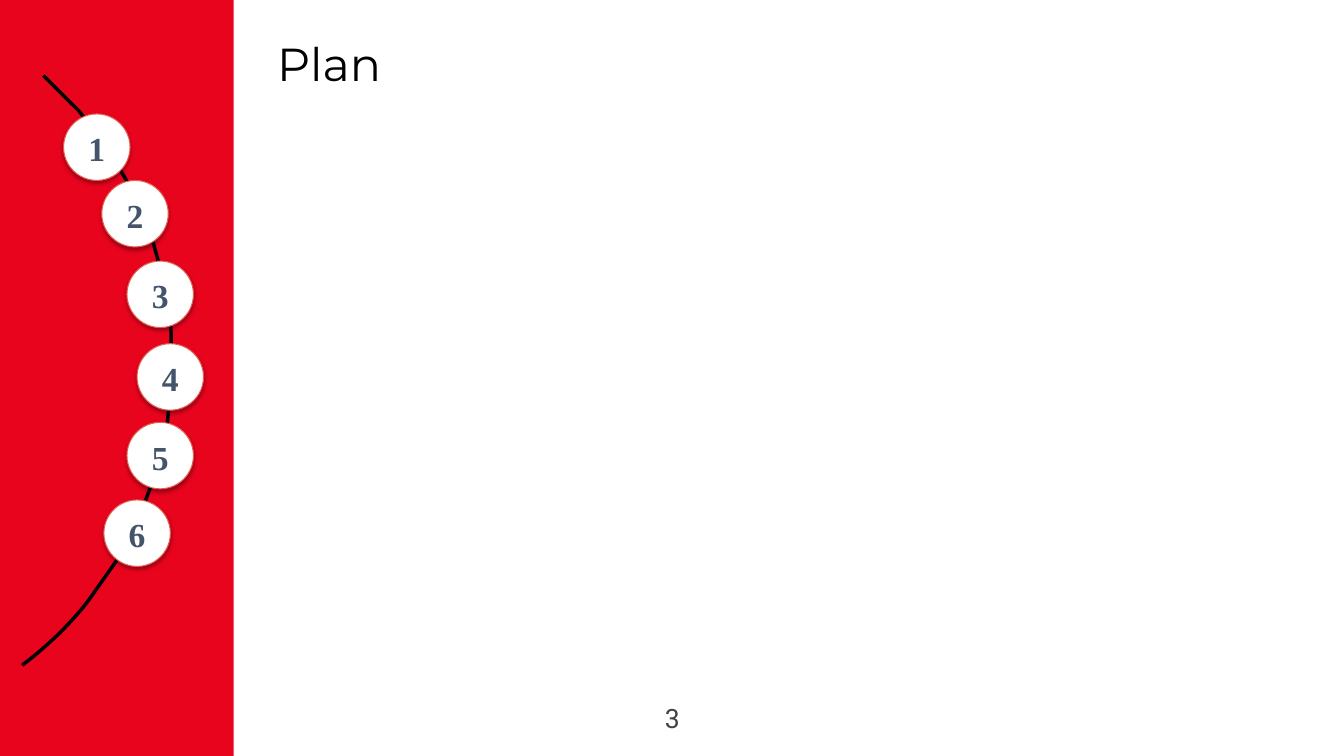
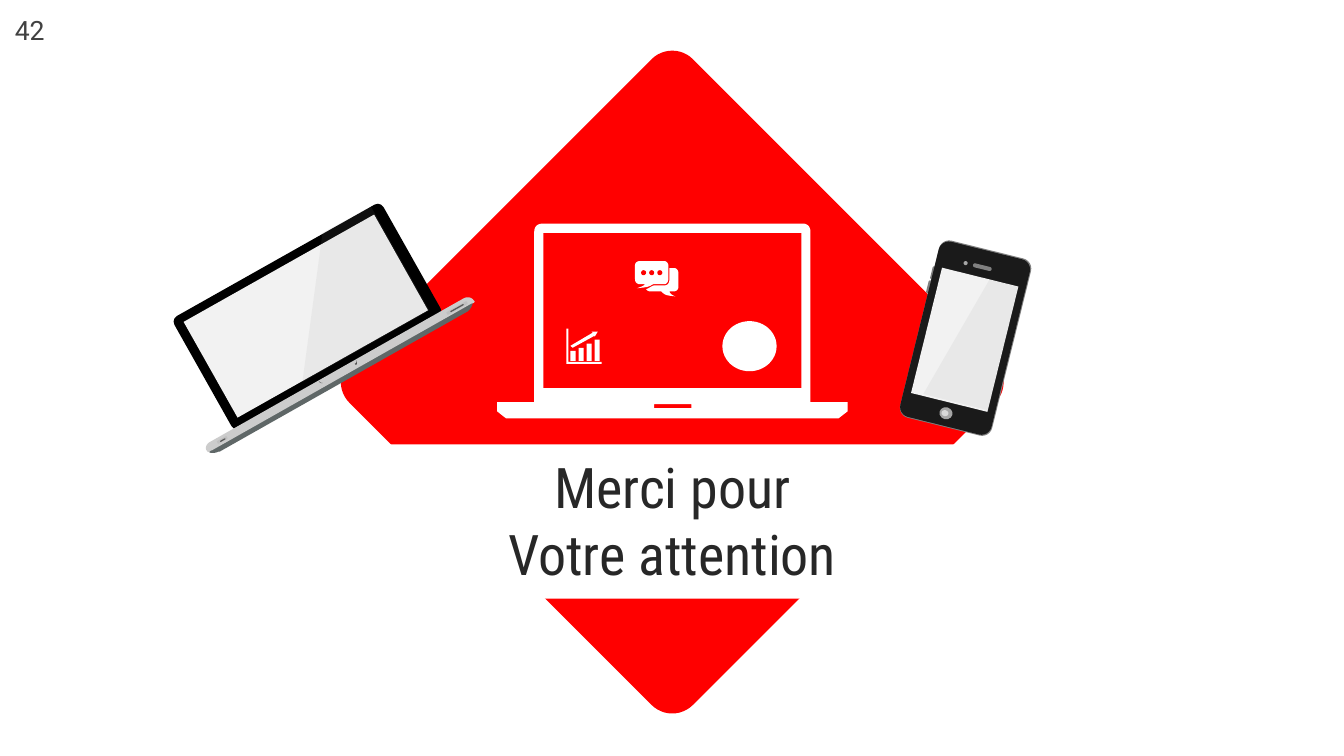
import dataclasses
import typing

import lxml.etree
import pptx
import pptx.dml.color
import pptx.enum.shapes
import pptx.enum.text
import pptx.oxml.ns
import pptx.util

Pt = pptx.util.Pt
RGB = pptx.dml.color.RGBColor
MSO = pptx.enum.shapes.MSO_SHAPE
ALIGN = pptx.enum.text.PP_ALIGN
ANCHOR = pptx.enum.text.MSO_ANCHOR
qn = pptx.oxml.ns.qn

CRIMSON = RGB(0xE9, 0x04, 0x1E)
RED = RGB(0xFF, 0x00, 0x00)
CORAL = RGB(0xE5, 0x5F, 0x50)
WHITE = RGB(0xFF, 0xFF, 0xFF)
BLACK = RGB(0x00, 0x00, 0x00)
INK = RGB(0x01, 0x01, 0x01)
SLATE = RGB(0x44, 0x54, 0x6A)
TEXT_GRAY = RGB(0x41, 0x41, 0x41)
THANKS_GRAY = RGB(0x27, 0x27, 0x27)
PHONE_BLACK = RGB(0x1A, 0x1A, 0x1A)
SCREEN = RGB(0xF2, 0xF2, 0xF2)
GLARE = RGB(0x99, 0x99, 0x99)
GRAY = RGB(0x80, 0x80, 0x80)
HOME_RING = RGB(0xA6, 0xA6, 0xA6)
HOME_CENTRE = RGB(0xD9, 0xD9, 0xD9)
BASE = RGB(0xCC, 0xCC, 0xCC)
BASE_EDGE = RGB(0x5F, 0x67, 0x67)
NOTCH = RGB(0x4D, 0x4D, 0x4D)
SLOT = RGB(0xBF, 0xBF, 0xBF)
SLOT_CORE = RGB(0x59, 0x59, 0x59)

NUMBER_FONT = {"name": "Times New Roman", "size": Pt(24), "bold": True}
PAGE_FONT = {"name": "Roboto", "size": Pt(19)}
TITLE_FONT = {"name": "Montserrat", "size": Pt(33)}
THANKS_FONT = {"name": "Roboto Condensed", "size": Pt(40)}

LAPTOP_TILT = 330.6
PHONE_TILT = 13.9
CURVE_STEPS = 12
CIRCLE_SIZE = 47.5
CIRCLES = [(45.4, 81.4), (72.7, 128.9), (90.7, 186.5),
           (97.9, 245.5), (90.7, 301.7), (74.2, 357.1)]

Box = tuple[float, float, float, float]
Point = tuple[float, float]


@dataclasses.dataclass
class Preset:
    kind: int
    box: Box
    fill: RGB
    rotation: float = 0
    corner: typing.Optional[float] = None
    line: typing.Optional[RGB] = None
    line_width: float = 0


@dataclasses.dataclass
class Outline:
    d: str
    fill: typing.Optional[RGB] = None
    alpha: int = 100
    line: typing.Optional[RGB] = None
    line_width: float = 0


RAIL = Outline("M 31 54 C 140.4 149 154.1 316.8 62.6 429.8 C 49 447.1 33.1 462.2 15.8 475.2",
               line=INK, line_width=2.5)

LAPTOP = [
    Outline("M 334.1 222.5 C 334.1 222.5 337.7 219.6 337.7 216 C 337.7 215.3 336.2 215.3 335.5 216 "
            "L 153.4 319 L 150.5 320.4 C 149.8 321.1 149 322.6 149.8 323.3 "
            "C 151.9 324 154.8 323.3 156.2 322.6 L 157 322.6 Z", BASE_EDGE),
    Preset(MSO.ROUNDED_RECTANGLE, (133.9, 180, 171.4, 92.2), BLACK, LAPTOP_TILT, 0.05),
    Preset(MSO.RECTANGLE, (140.4, 186.5, 156.2, 78.5), SCREEN, LAPTOP_TILT),
    Outline("M 150.5 315.4 L 331.2 213.1 C 334.1 211.7 337 212.4 338.4 214.6 L 339.1 215.3 "
            "C 339.1 215.3 339.1 216 337.7 216.7 L 337 216.7 L 151.2 321.8 "
            "C 150.5 321.8 150.5 321.8 149.8 322.6 C 149.8 322.6 148.3 323.3 148.3 322.6 "
            "L 147.6 321.8 C 146.2 319.7 147.6 316.8 150.5 315.4 Z", BASE),
    Outline("M 254.2 257 C 255.6 259.2 254.9 260.6 254.2 260.6 L 253.4 259.9 "
            "C 254.9 259.2 254.9 258.5 254.2 257 Z M 227.5 271.4 C 227.5 271.4 228.2 273.6 230.4 273.6 "
            "C 228.2 274.3 227.5 271.4 227.5 271.4 Z", NOTCH),
    Preset(MSO.ROUNDED_RECTANGLE, (154.8, 313.2, 7.9, 2.2), SLOT, LAPTOP_TILT, 0.28),
    Preset(MSO.ROUNDED_RECTANGLE, (157, 313.9, 4.3, 0.9), SLOT_CORE, LAPTOP_TILT, 0.5),
    Preset(MSO.ROUNDED_RECTANGLE, (318.2, 218.9, 16.6, 2.2), SLOT, LAPTOP_TILT, 0.28),
    Preset(MSO.ROUNDED_RECTANGLE, (321.1, 219.6, 10.8, 0.9), SLOT_CORE, LAPTOP_TILT, 0.5),
    Outline("M 230.4 166.3 L 265 147.6 L 306.7 221.8 L 216 272.9 Z", GLARE, 10),
]

PHONE_KEYS = [Preset(MSO.ROUNDED_RECTANGLE, (x, y, 2.2, 9.4), GRAY, PHONE_TILT, 0.5)
              for x, y in [(665.3, 190.1), (662.4, 200.2), (727.2, 216)]]
PHONE = PHONE_KEYS + [
    Preset(MSO.ROUNDED_RECTANGLE, (655.9, 176.4, 67.7, 130.3), GRAY, PHONE_TILT, 0.11),
    Preset(MSO.ROUNDED_RECTANGLE, (655.9, 177.1, 67, 128.9), PHONE_BLACK, PHONE_TILT, 0.11),
    Preset(MSO.RECTANGLE, (661, 196.6, 56.2, 92.2), SCREEN, PHONE_TILT),
    Preset(MSO.OVAL, (671, 290.9, 9.4, 8.6), HOME_RING, PHONE_TILT),
    Preset(MSO.OVAL, (672.5, 293, 5, 4.3), HOME_CENTRE, PHONE_TILT),
    Outline("M 707 199.4 L 727.2 205.2 L 705.6 293 L 659.5 281.5 Z", GLARE, 10),
    Preset(MSO.ROUNDED_RECTANGLE, (694.8, 189.4, 13.7, 2.9), GRAY, PHONE_TILT, 0.5),
    Preset(MSO.OVAL, (688.3, 186.5, 2.9, 2.9), HOME_RING, PHONE_TILT),
]

BACKDROP = [
    Preset(MSO.ROUNDED_RECTANGLE, (306.7, 99.4, 347, 347), RED, 315, 0.06),
    Preset(MSO.RECTANGLE, (124.6, 317.5, 710.6, 110.2), WHITE),
]

BARS = " ".join(f"M {x} {top} L {x + 3.6} {top} L {x + 3.6} 257.8 L {x} 257.8 Z"
                for x, top in zip([407.5, 413.3, 419, 424.8], [250.6, 248.4, 245.5, 242.6]))
ICONS = [
    Preset(MSO.OVAL, (517, 230.4, 36.7, 33.8), WHITE, line=WHITE, line_width=2),
    Outline(BARS + " M 422.6 236.9 L 427 236.9 L 424.8 240.5 L 424.8 239.8 L 409 248.4 "
            "L 407.5 247 L 423.4 237.6 Z M 404.6 234.7 L 406.1 234.7 L 406.1 258.5 "
            "L 429.8 258.5 L 429.8 259.9 L 404.6 259.9 Z", WHITE),
    Outline("M 478.1 191.5 L 481.7 191.5 C 483.1 191.5 484.6 193 484.6 195.1 L 484.6 205.2 "
            "C 484.6 206.6 483.1 208.1 481.7 208.1 L 478.1 208.1 C 478.8 209.5 478.8 210.2 482.4 211.7 "
            "C 475.9 211 475.2 211 472.3 208.1 L 464.4 208.1 C 463 208.1 462.2 207.4 461.5 206.6 "
            "C 463.7 205.9 465.1 204.5 467.3 203.8 L 475.2 203.8 C 476.6 203.8 478.1 202.3 478.1 200.2 Z "
            "M 457.2 186.5 L 474.5 186.5 C 475.9 186.5 477.4 187.9 477.4 189.4 L 477.4 199.4 "
            "C 477.4 201.6 475.9 203 474.5 203 L 466.6 203 C 463 205.2 461.5 205.2 455 205.9 "
            "C 458.6 204.5 459.4 204.5 460.8 203 L 457.2 203 C 455 203 453.6 201.6 453.6 199.4 "
            "L 453.6 189.4 C 453.6 187.9 455 186.5 457.2 186.5 Z", WHITE),
    *[Preset(MSO.OVAL, (457.9 + 5.8 * i, 193, 3.6, 3.6), RED) for i in range(3)],
]

WHITE_LAPTOP = Outline(
    "M 467.3 288.7 L 467.3 291.6 L 493.9 291.6 L 493.9 288.7 Z "
    "M 388.1 166.3 L 388.1 277.2 L 572.4 277.2 L 572.4 166.3 Z "
    "M 387.4 159.8 L 573.8 159.8 C 576.7 159.8 578.9 162 578.9 165.6 L 578.9 287.3 L 605.5 287.3 "
    "L 605.5 293.8 L 599 298.8 L 361.4 298.8 L 355 293.8 L 355 287.3 L 381.6 287.3 "
    "L 381.6 165.6 C 381.6 162 383.8 159.8 387.4 159.8 Z", WHITE)


def set_all(target: typing.Any, values: dict[str, typing.Any]) -> None:
    for name, value in values.items():
        setattr(target, name, value)


def paint(sp: typing.Any, item: Preset | Outline) -> None:
    sp.shadow.inherit = False
    if item.fill is None:
        sp.fill.background()
    else:
        sp.fill.solid()
        sp.fill.fore_color.rgb = item.fill
    if item.line is None:
        sp.line.fill.background()
    else:
        sp.line.color.rgb = item.line
        sp.line.width = Pt(item.line_width)


def add_preset(s: typing.Any, item: Preset) -> typing.Any:
    sp = s.shapes.add_shape(item.kind, *map(Pt, item.box))
    sp.rotation = item.rotation
    if item.corner is not None:
        sp.adjustments[0] = item.corner
    paint(sp, item)
    return sp


def bezier(a: Point, b: Point, c: Point, d: Point) -> list[Point]:
    points = []
    for step in range(1, CURVE_STEPS + 1):
        t = step / CURVE_STEPS
        u = 1 - t
        weights = (u ** 3, 3 * u * u * t, 3 * u * t * t, t ** 3)
        points.append(tuple(sum(w * q[k] for w, q in zip(weights, (a, b, c, d))) for k in (0, 1)))
    return points


def contours(d: str) -> list[tuple[list[Point], bool]]:
    result = []
    for part in d.split("M ")[1:]:
        points: list[Point] = []
        for command in part.replace("Z", "").replace("C", "|C").replace("L", "|").split("|"):
            values = [float(v) for v in command.replace("C", "").split()]
            pairs = list(zip(values[::2], values[1::2]))
            points += bezier(points[-1], *pairs) if "C" in command else pairs
        result.append((points, "Z" in part))
    return result


def add_outline(s: typing.Any, item: Outline) -> typing.Any:
    builder = None
    for points, closed in contours(item.d):
        pts = [(Pt(x), Pt(y)) for x, y in points]
        if builder is None:
            builder = s.shapes.build_freeform(*pts[0])
        else:
            builder.move_to(*pts[0])
        builder.add_line_segments(pts[1:], close=closed)
    sp = builder.convert_to_shape()
    paint(sp, item)
    if item.alpha < 100:
        color = sp._element.spPr.find(qn("a:solidFill"))[0]
        lxml.etree.SubElement(color, qn("a:alpha"), val=str(item.alpha * 1000))
    return sp


def draw(s: typing.Any, items: typing.Iterable[Preset | Outline]) -> None:
    for item in items:
        if isinstance(item, Preset):
            add_preset(s, item)
        else:
            add_outline(s, item)


def write(sp: typing.Any, lines: list[str], font: dict[str, typing.Any], color: RGB,
          inset: float = 3.6, anchor: typing.Any = ANCHOR.MIDDLE, wrap: bool = True) -> None:
    tf = sp.text_frame
    margins = {f"margin_{side}": Pt(inset) for side in ("left", "top", "right", "bottom")}
    set_all(tf, {**margins, "vertical_anchor": anchor, "word_wrap": wrap})
    for i, line in enumerate(lines):
        p = tf.add_paragraph() if i else tf.paragraphs[0]
        p.alignment = ALIGN.CENTER
        r = p.add_run()
        r.text = line
        set_all(r.font, font)
        r.font.color.rgb = color


def add_text(s: typing.Any, box: Box, *args: typing.Any, **options: typing.Any) -> None:
    write(s.shapes.add_textbox(*map(Pt, box)), *args, **options)


def add_page_number(s: typing.Any, box: Box, number: int) -> None:
    add_text(s, box, [str(number)], PAGE_FONT, TEXT_GRAY, wrap=False)


def add_number_circle(s: typing.Any, at: Point, number: int) -> None:
    sp = add_preset(s, Preset(MSO.OVAL, (*at, CIRCLE_SIZE, CIRCLE_SIZE), WHITE,
                              line=CORAL, line_width=0.75))
    effects = sp._element.spPr.find(qn("a:effectLst"))
    shadow = lxml.etree.SubElement(effects, qn("a:outerShdw"), blurRad=str(Pt(3)),
                                   dist=str(Pt(1.8)), dir="5400000", rotWithShape="0")
    color = lxml.etree.SubElement(shadow, qn("a:srgbClr"), val=str(BLACK))
    lxml.etree.SubElement(color, qn("a:alpha"), val="35000")
    write(sp, [str(number)], NUMBER_FONT, SLATE, inset=0)
    sp.text_frame.margin_top = Pt(1.5)


def build_plan(s: typing.Any) -> None:
    draw(s, [Preset(MSO.RECTANGLE, (0, 0, 167, 540), CRIMSON), RAIL])
    for number, at in enumerate(CIRCLES, 1):
        add_number_circle(s, at, number)
    add_page_number(s, (470.9, 497.5, 18.7, 30.2), 3)
    add_text(s, (101.5, 22.3, 267.1, 45.4), ["Plan"], TITLE_FONT, INK,
             inset=2.9, anchor=ANCHOR.TOP)


def build_thanks(s: typing.Any) -> None:
    draw(s, [*BACKDROP, *ICONS, *LAPTOP, *PHONE, WHITE_LAPTOP])
    add_text(s, (244.8, 319.7, 470.9, 103), ["Merci pour", "Votre attention"],
             THANKS_FONT, THANKS_GRAY)
    add_page_number(s, (6.5, 6.5, 29.5, 30.2), 42)


def main() -> None:
    prs = pptx.Presentation()
    set_all(prs, {"slide_width": Pt(960), "slide_height": Pt(540)})
    for build in (build_plan, build_thanks):
        build(prs.slides.add_slide(prs.slide_layouts[6]))
    prs.save("out.pptx")


if __name__ == "__main__":
    main()
